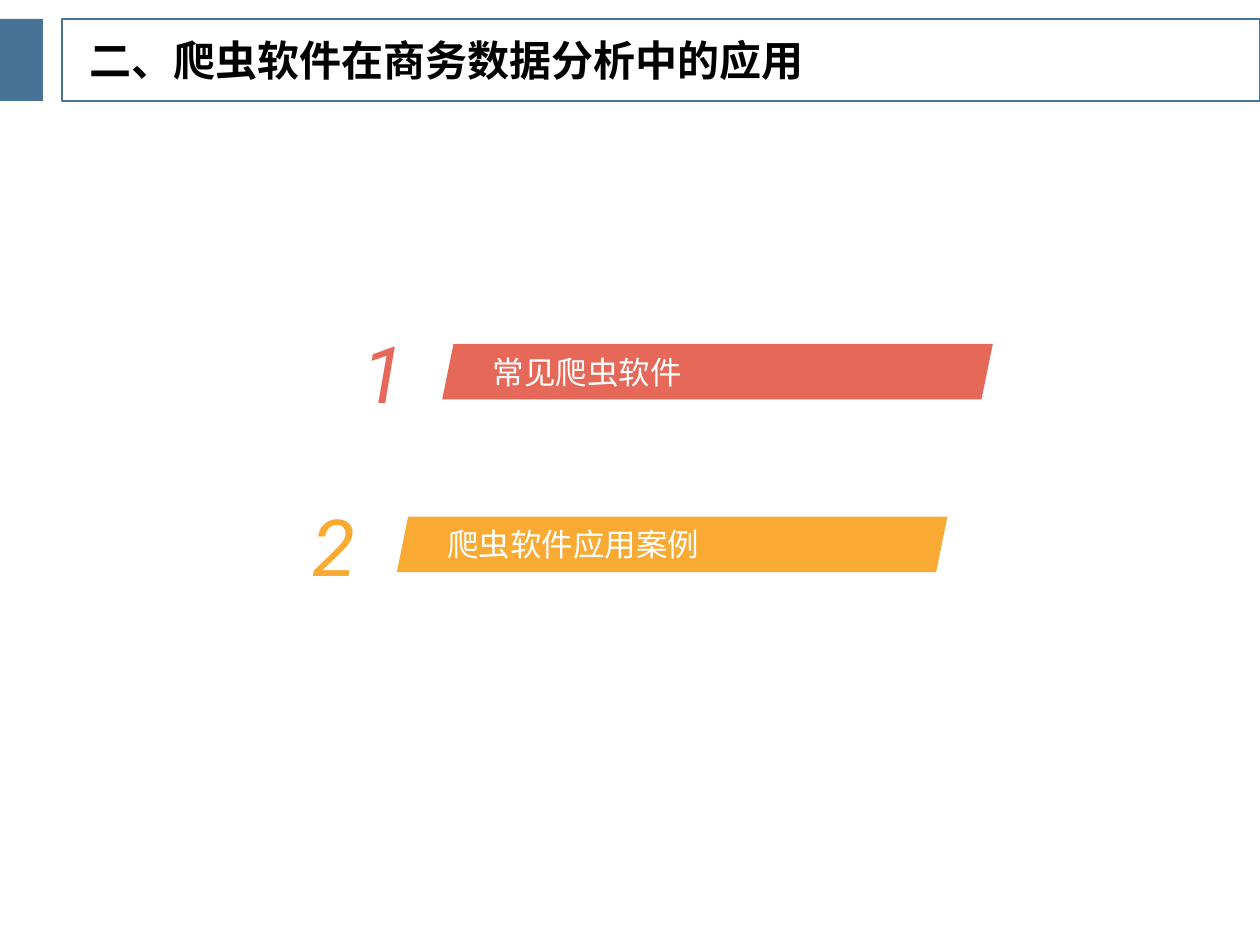
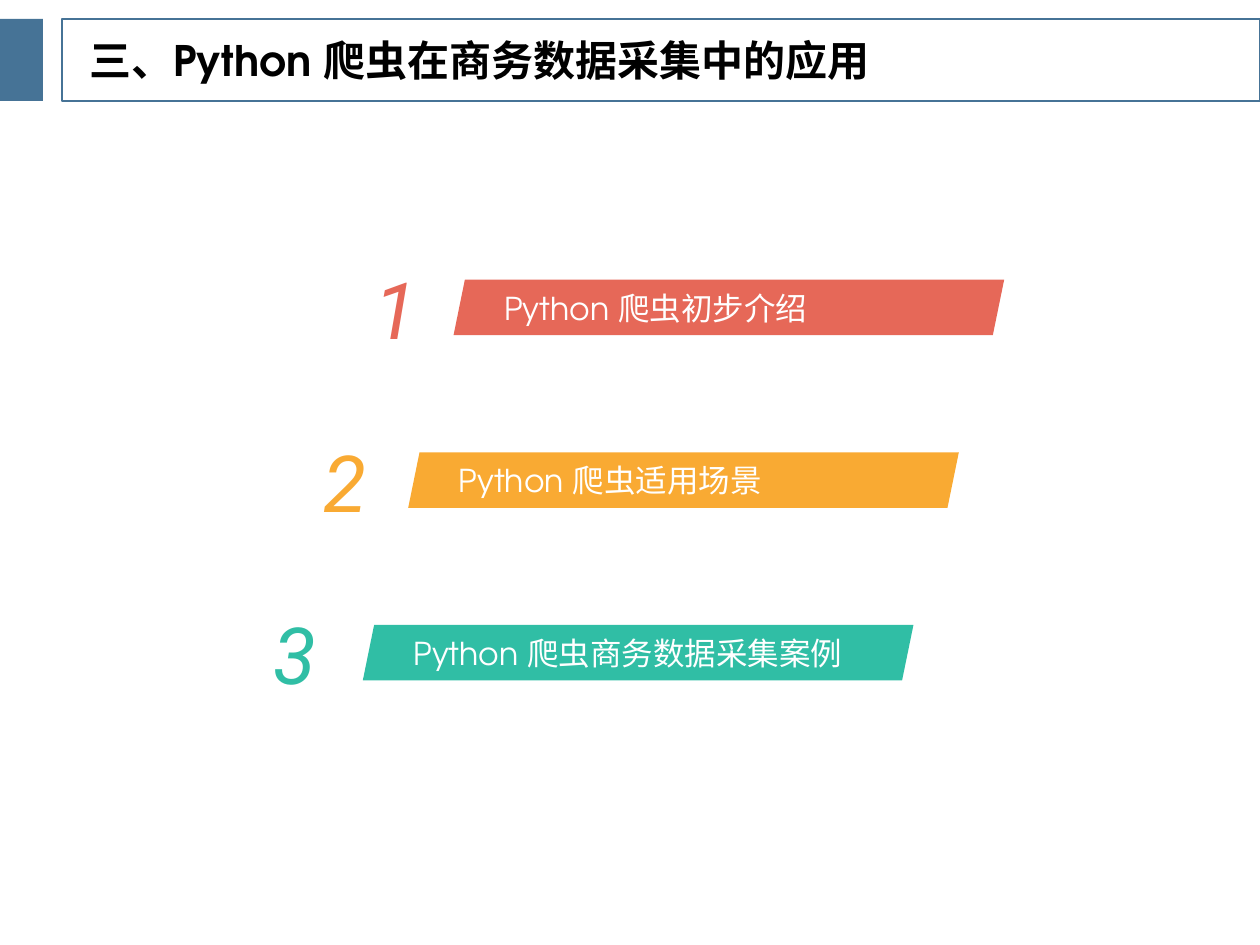
"""Build two section slides that share a title band and slanted topic rows."""
from pptx import Presentation
from pptx.dml.color import RGBColor
from pptx.enum.shapes import MSO_SHAPE
from pptx.enum.text import MSO_ANCHOR, PP_ALIGN
from pptx.util import Inches, Pt

BLUE, BLACK, WHITE = "467396", "000000", "FFFFFF"
HUES = ["E66858", "F9AA33", "30BEA5"]
SANS, DIGIT = "TeX Gyre Adventor", "Roboto"
TOPICS = [
    ("二、爬虫软件在商务数据分析中的应用", 6.03, (3.51, 2.73),
     ["常见爬虫软件", "爬虫软件应用案例"]),
    ("三、Python 爬虫在商务数据采集中的应用", 6.64, (3.6, 2.22),
     ["Python 爬虫初步介绍", "Python 爬虫适用场景", "Python 爬虫商务数据采集案例"]),
]


def tint(code):
    """Turn a hex string into a colour."""
    return RGBColor.from_string(code)


def draw(slide, kind, box, fill=None, line=None):
    """Add a flat shape with an optional fill and outline."""
    shape = slide.shapes.add_shape(kind, *map(Inches, box))
    shape.shadow.inherit = False
    if fill:
        shape.fill.solid()
        shape.fill.fore_color.rgb = tint(fill)
    else:
        shape.fill.background()
    if line:
        shape.line.color.rgb = tint(line)
        shape.line.width = Pt(1)
    else:
        shape.line.fill.background()
    return shape


def write(shape, text, size, color, align, face=SANS, pad=(0, 0), **style):
    """Put one run of text, centred in height, in a shape."""
    frame = shape.text_frame
    frame.word_wrap = True
    frame.vertical_anchor = MSO_ANCHOR.MIDDLE
    frame.margin_left = frame.margin_right = Inches(pad[0])
    frame.margin_top = frame.margin_bottom = Inches(pad[1])
    para = frame.paragraphs[0]
    para.alignment = align
    run = para.add_run()
    run.text = text
    font = run.font
    font.name, font.size = face, Pt(size)
    font.color.rgb = tint(color)
    font.bold, font.italic = style.get("bold"), style.get("slant")
    return para


def add_text(slide, box):
    """Add an empty text box."""
    return slide.shapes.add_textbox(*map(Inches, box))


def add_band(slide, title, width, top=0.15):
    """Draw the title band across the slide."""
    draw(slide, MSO_SHAPE.RECTANGLE, (0, top, 0.34, 0.65), fill=BLUE)
    draw(slide, MSO_SHAPE.RECTANGLE, (0.49, top, 9.51, 0.65), line=BLUE)
    label = add_text(slide, (0.61, top + 0.09, width, 0.51))
    para = write(label, title, 24, BLACK, PP_ALIGN.LEFT,
                 pad=(0.1, 0.05), bold=True)
    para.line_spacing = 0.9


def add_row(slide, left, top, rank, topic, hue):
    """Draw one slanted bar with its number on the left."""
    bar = draw(slide, MSO_SHAPE.PARALLELOGRAM, (left, top, 4.37, 0.44), fill=hue)
    bar.adjustments[0] = 0.204
    write(bar, topic, 18, WHITE, PP_ALIGN.JUSTIFY)
    digit = add_text(slide, (left - 0.92 - 0.04 * rank, top - 0.43, 1, 1.31))
    write(digit, str(rank), 45, hue, PP_ALIGN.CENTER, DIGIT, slant=True)


def add_page(deck, title, width, start, topics):
    """Add a slide whose rows step down and to the left."""
    slide = deck.slides.add_slide(deck.slide_layouts[6])
    add_band(slide, title, width)
    left, top = start
    for step, (topic, hue) in enumerate(zip(topics, HUES)):
        add_row(slide, left - 0.36 * step, top + 1.37 * step, step + 1, topic, hue)


def main():
    """Build and save the deck."""
    deck = Presentation()
    deck.slide_width, deck.slide_height = Inches(10), Inches(7.5)
    for page in TOPICS:
        add_page(deck, *page)
    deck.save("out.pptx")


if __name__ == "__main__":
    main()
